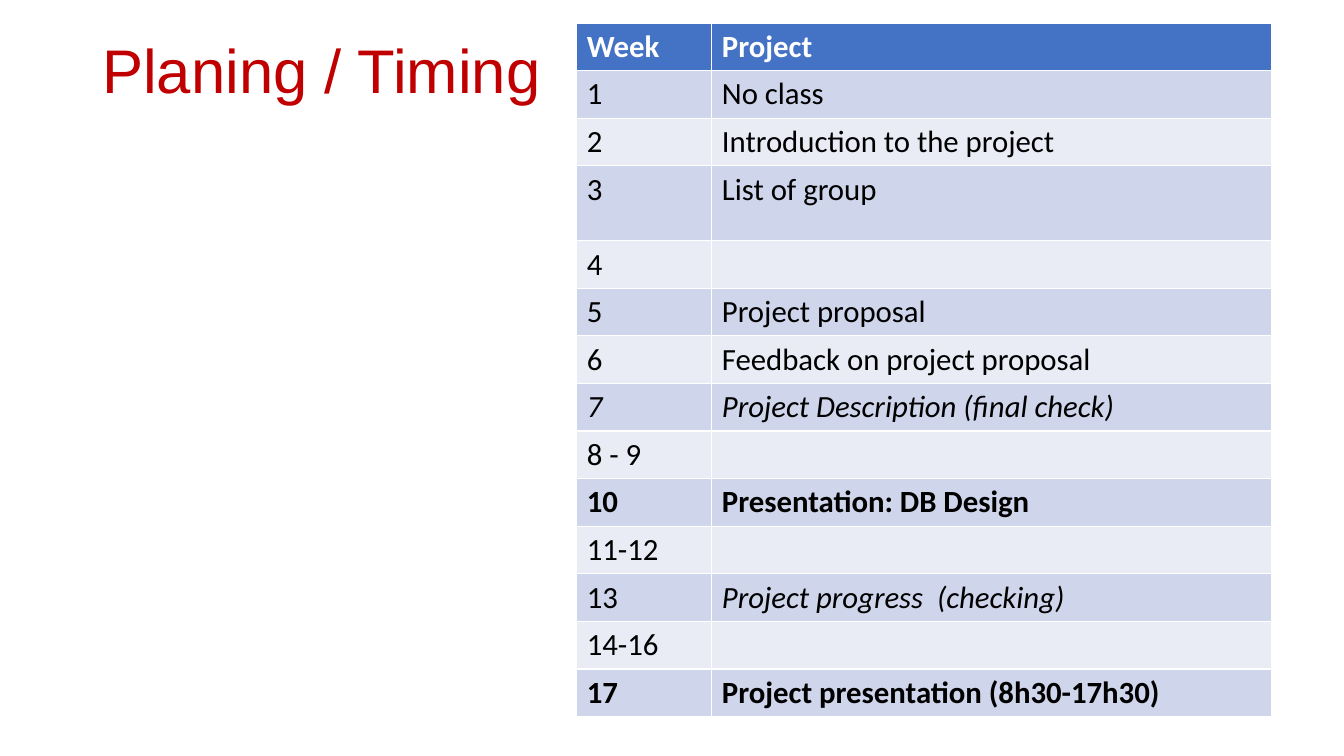
from dataclasses import dataclass

from pptx import Presentation
from pptx.dml.color import RGBColor
from pptx.enum.text import MSO_ANCHOR
from pptx.util import Pt


@dataclass(frozen=True)
class Theme:
    title_font: str = "Arial"
    table_font: str = "Calibri"
    title_size: int = 44
    table_size: int = 22
    title_color: str = "C00000"
    header_fill: str = "4472C4"
    header_text: str = "FFFFFF"
    body_text: str = "000000"
    bands: tuple = ("CFD5EA", "E9EBF5")


# Week, project, style of the week, style of the project
SCHEDULE = [
    ("Week", "Project", "bold", "bold"),
    ("1", "No class", "", ""),
    ("2", "Introduction to the project", "", ""),
    ("3", "List of group", "", ""),
    ("4", "", "", ""),
    ("5", "Project proposal", "", ""),
    ("6", "Feedback on project proposal", "", ""),
    ("7", "Project Description (final check)", "italic", "italic"),
    ("8 - 9", "", "", ""),
    ("10", "Presentation: DB Design", "bold", "bold"),
    ("11-12", "", "", ""),
    ("13", "Project progress  (checking)", "", "italic"),
    ("14-16", "", "", ""),
    ("17", "Project presentation (8h30-17h30)", "bold", "bold"),
]
COLUMN_WIDTHS = (96.5, 399.5)
ROW_HEIGHT = 34
TALL_ROWS = {3: 53.5}


class PageBuilder:
    def __init__(self, page, theme):
        self.page = page
        self.theme = theme

    def set_font(self, para, name, size, color, style=""):
        font = para.font
        font.name = name
        font.size = Pt(size)
        font.color.rgb = RGBColor.from_string(color)
        font.bold = style == "bold"
        font.italic = style == "italic"

    def title(self, text, left, top, width, height):
        box = self.page.shapes.add_textbox(Pt(left), Pt(top), Pt(width), Pt(height))
        frame = box.text_frame
        frame.word_wrap = True
        frame.vertical_anchor = MSO_ANCHOR.MIDDLE
        para = frame.paragraphs[0]
        para.text = text
        para.line_spacing = 0.9
        theme = self.theme
        self.set_font(para, theme.title_font, theme.title_size, theme.title_color)

    def schedule(self, rows, left, top):
        heights = [TALL_ROWS.get(index, ROW_HEIGHT) for index in range(len(rows))]
        table = self.page.shapes.add_table(
            len(rows), len(COLUMN_WIDTHS), Pt(left), Pt(top),
            Pt(sum(COLUMN_WIDTHS)), Pt(sum(heights)),
        ).table
        for column, width in zip(table.columns, COLUMN_WIDTHS):
            column.width = Pt(width)
        for index, (week, project, week_style, project_style) in enumerate(rows):
            table.rows[index].height = Pt(heights[index])
            self.cell(table.cell(index, 0), index, week, week_style)
            self.cell(table.cell(index, 1), index, project, project_style)

    def cell(self, cell, row, text, style):
        """Fill one cell; row 0 is the header, the others alternate bands."""
        theme = self.theme
        fill = theme.bands[(row - 1) % 2] if row else theme.header_fill
        color = theme.body_text if row else theme.header_text
        cell.fill.solid()
        cell.fill.fore_color.rgb = RGBColor.from_string(fill)
        if text:
            para = cell.text_frame.paragraphs[0]
            para.text = text
            self.set_font(para, theme.table_font, theme.table_size, color, style)


def main():
    deck = Presentation()
    deck.slide_width, deck.slide_height = Pt(960), Pt(540)
    page = deck.slides.add_slide(deck.slide_layouts[6])
    builder = PageBuilder(page, Theme())
    builder.title("Planing / Timing", 66, 16.5, 828, 71.5)
    builder.schedule(SCHEDULE, 412, 16.5)
    deck.save("out.pptx")


if __name__ == "__main__":
    main()
